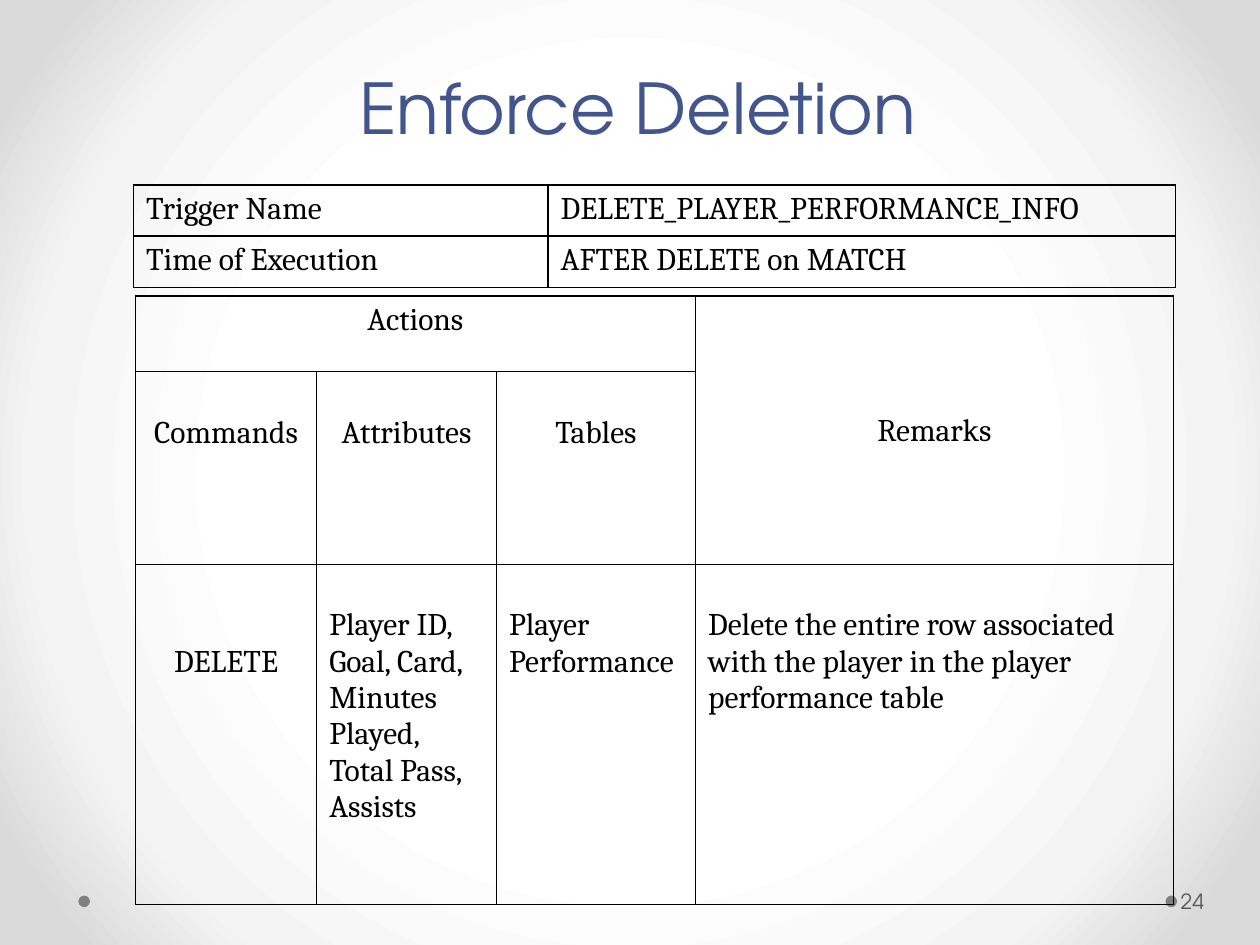
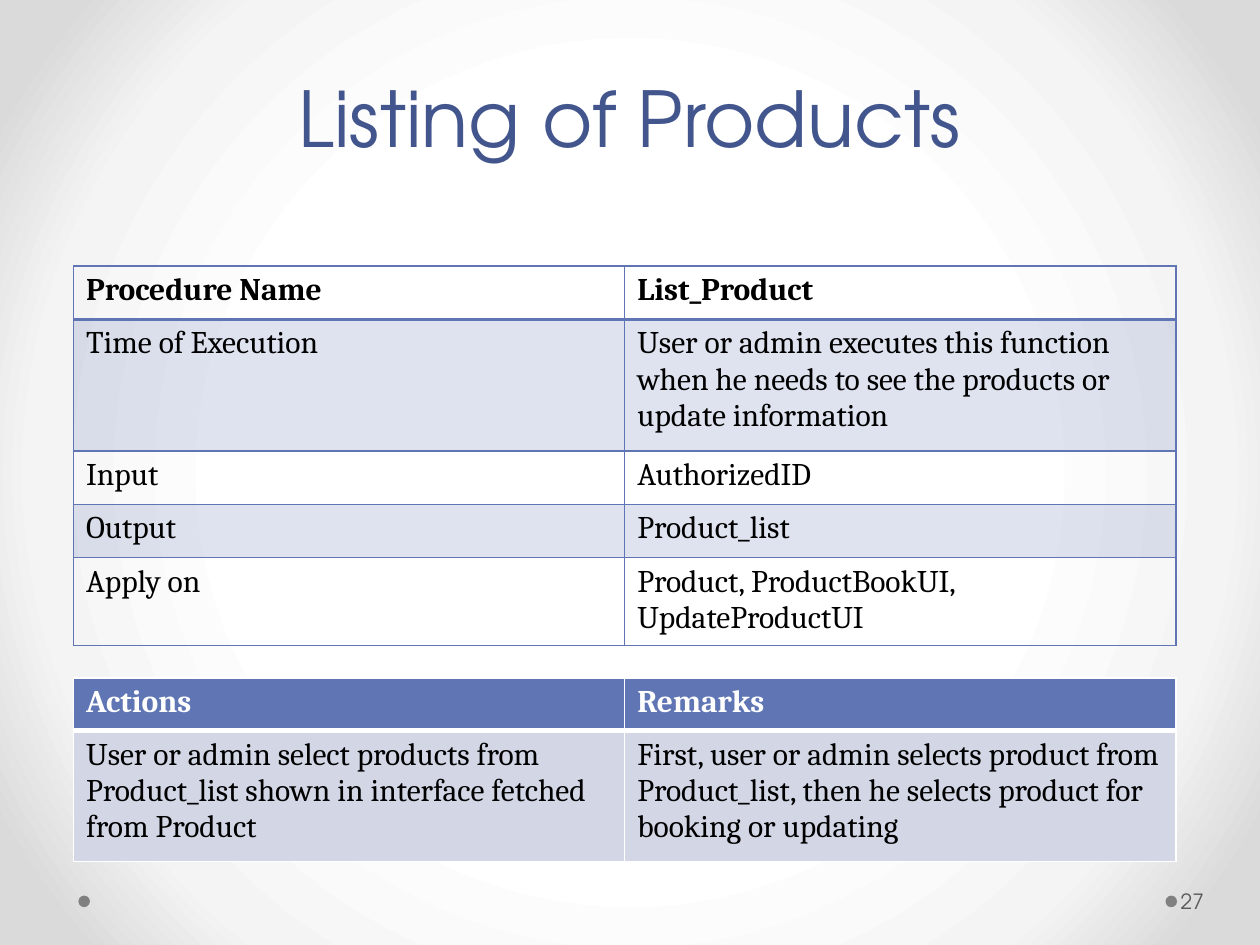
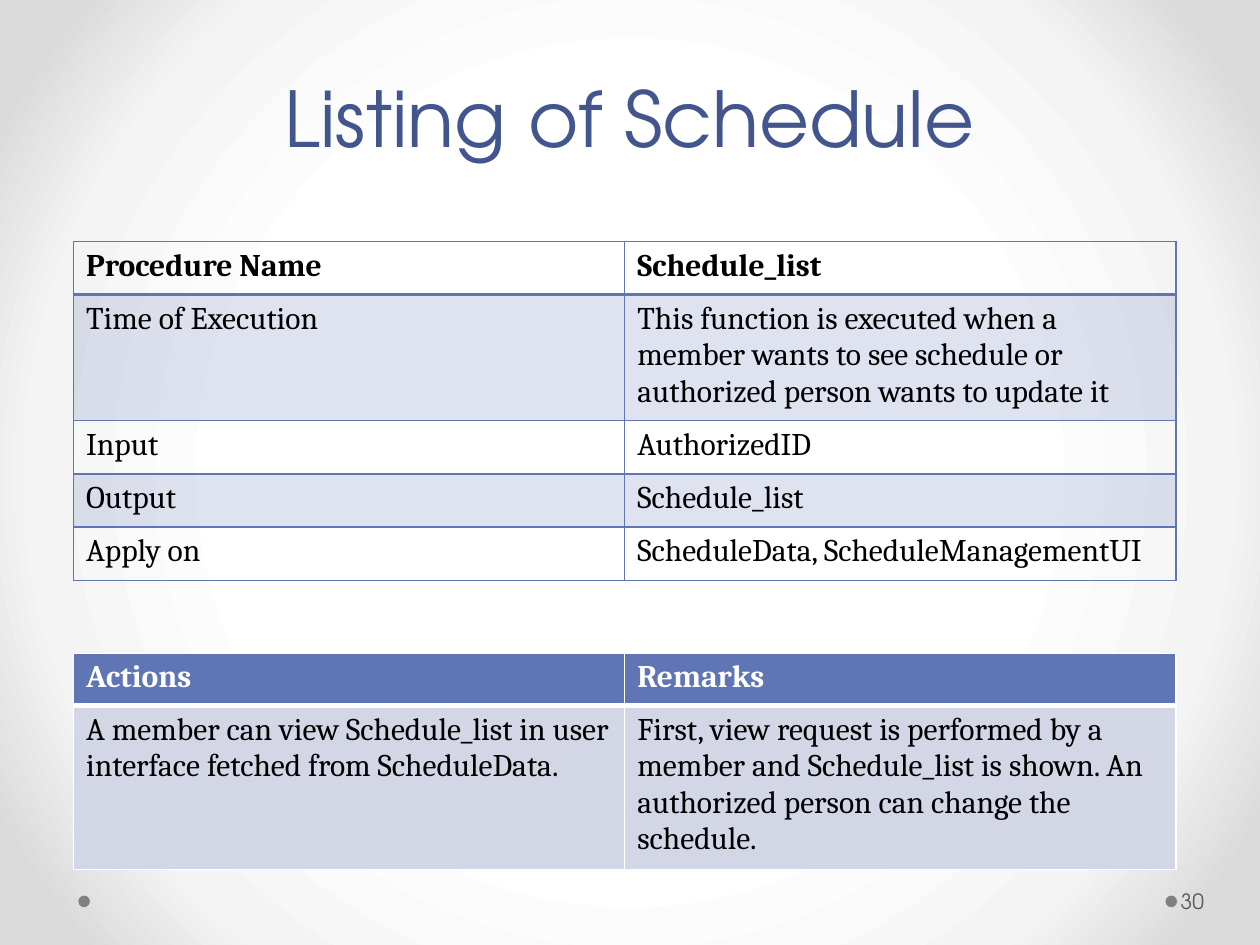
import pptx
import pptx.dml.color
import pptx.enum.shapes
import pptx.enum.text
import pptx.oxml
import pptx.oxml.ns
import pptx.util

Pt = pptx.util.Pt
ALIGN = pptx.enum.text.PP_ALIGN
ANCHOR = pptx.enum.text.MSO_ANCHOR

COLORS = {
    "title": "42568D", "number": "595959", "dot": "808080",
    "black": "000000", "white": "FFFFFF",
    "blue": "6076B4", "pale": "D2D6E5",
    "halo": "F4F4F4", "edge": "DADADA",
}
BODY_FONT, TITLE_FONT = "Cambria", "TeX Gyre Adventor"
LINE = 21  # height of one line of table text


def write(frame, text, size=18, font=BODY_FONT, color="black", bold=False,
          align=ALIGN.LEFT, spacing=None):
    frame.word_wrap = True
    for index, line in enumerate(text.split("\n")):
        paragraph = frame.add_paragraph() if index else frame.paragraphs[0]
        paragraph.alignment = align
        if spacing:
            paragraph.line_spacing = spacing
        run = paragraph.add_run()
        run.text = line
        run.font.size = Pt(size)
        run.font.name = font
        run.font.bold = bold
        run.font.color.rgb = pptx.dml.color.RGBColor.from_string(COLORS[color])


def add_grid(slide, left, top, widths, heights, line, fills, rule=1):
    """Add a ruled table; rule is the line width below the first row."""
    grid = slide.shapes.add_table(
        len(heights), len(widths), Pt(left), Pt(top), Pt(sum(widths)), Pt(sum(heights))).table
    grid.first_row = grid.horz_banding = False
    for column, width in zip(grid.columns, widths):
        column.width = Pt(width)
    for index, (row, height, fill) in enumerate(zip(grid.rows, heights, fills)):
        row.height = Pt(height)
        borders = {"L": 1, "R": 1, "T": rule if index == 1 else 1, "B": rule if index == 0 else 1}
        for cell in row.cells:
            properties = cell._tc.get_or_add_tcPr()
            for side, weight in borders.items():
                properties.append(pptx.oxml.parse_xml(
                    f'<a:ln{side} {pptx.oxml.ns.nsdecls("a")} w="{Pt(weight)}"><a:solidFill>'
                    f'<a:srgbClr val="{COLORS[line]}"/></a:solidFill></a:ln{side}>'))
            if fill is None:
                cell.fill.background()
                continue
            color, opacity = fill
            cell.fill.solid()
            cell.fill.fore_color.rgb = pptx.dml.color.RGBColor.from_string(COLORS[color])
            if opacity < 100:
                properties.find(".//" + pptx.oxml.ns.qn("a:solidFill") + "[last()]")
                tint = properties.findall(pptx.oxml.ns.qn("a:solidFill"))[0][0]
                tint.append(pptx.oxml.parse_xml(
                    f'<a:alpha {pptx.oxml.ns.nsdecls("a")} val="{opacity * 1000}"/>'))
    return grid


deck = pptx.Presentation()
deck.slide_width, deck.slide_height = Pt(720), Pt(540)

# Shared background: a soft circular glow
glow = deck.slide_master.background.fill
glow.gradient()
gradient = deck.slide_master._element.find(".//" + pptx.oxml.ns.qn("a:gradFill"))
stops = "".join(f'<a:gs pos="{pos * 1000}"><a:srgbClr val="{COLORS[name]}"/></a:gs>'
                for pos, name in ((50, "white"), (76, "halo"), (92, "edge")))
gradient.getparent().replace(gradient, pptx.oxml.parse_xml(
    f'<a:gradFill {pptx.oxml.ns.nsdecls("a")} rotWithShape="1"><a:gsLst>{stops}</a:gsLst>'
    '<a:path path="circle"><a:fillToRect l="50000" t="50000" r="50000" b="50000"/></a:path>'
    '</a:gradFill>'))

# Title box, size, anchor, line spacing and page number of each slide
pages = [
    ("Enforce Deletion ", (80.6, 15.8, 578.9, 73.4), 40, ANCHOR.BOTTOM, 0.9, "24"),
    ("Listing of Products", (36, 21.6, 648, 90), 44, ANCHOR.MIDDLE, None, "27"),
    ("Listing of Schedule", (36, 21.6, 648, 90), 44, ANCHOR.MIDDLE, None, "30"),
]
slides = []
for title, title_box, title_size, title_anchor, title_spacing, number in pages:
    slide = deck.slides.add_slide(deck.slide_layouts[6])
    slides.append(slide)
    # Footer dots
    for dot_left in (666, 44.8):
        dot = slide.shapes.add_shape(pptx.enum.shapes.MSO_SHAPE.OVAL,
                                     Pt(dot_left), Pt(511.8), Pt(6.6), Pt(6.6))
        dot.shadow.inherit = False
        dot.fill.solid()
        dot.fill.fore_color.rgb = pptx.dml.color.RGBColor.from_string(COLORS["dot"])
        dot.line.fill.background()
    # Title
    heading = slide.shapes.add_textbox(*map(Pt, title_box)).text_frame
    heading.vertical_anchor = title_anchor
    write(heading, title, size=title_size, font=TITLE_FONT, color="title",
          align=ALIGN.CENTER, spacing=title_spacing)
    # Page number
    footer = slide.shapes.add_textbox(Pt(672.5), Pt(500.4), Pt(43.9), Pt(28.8)).text_frame
    footer.vertical_anchor = ANCHOR.MIDDLE
    footer.margin_left, footer.margin_right = Pt(2.2), Pt(3.6)
    write(footer, number, size=12, font=TITLE_FONT, color="number")

# Slide 1: trigger summary
trigger = add_grid(slides[0], 76.3, 105.8, [236.9, 358.6], [29.2] * 2, "black", [None] * 2)
trigger_rows = [("Trigger Name", "DELETE_PLAYER_PERFORMANCE_INFO"),
                ("Time of Execution", "AFTER DELETE on MATCH")]
for row, texts in zip(trigger.rows, trigger_rows):
    for cell, text in zip(row.cells, texts):
        write(cell.text_frame, text)

# Slide 1: trigger actions, as row, column, lines of space above, alignment, text
actions = add_grid(slides[0], 77.3, 169.2, [103.7, 102.7, 113.8, 273],
                   [43.2, 110.2, 194.4], "black", [None] * 3)
actions.cell(0, 0).merge(actions.cell(0, 2))
actions.cell(0, 3).merge(actions.cell(1, 3))
action_cells = [
    (0, 0, 0, ALIGN.CENTER, "Actions"),
    (0, 3, 3, ALIGN.CENTER, "Remarks"),
    (1, 0, 1, ALIGN.CENTER, "Commands"),
    (1, 1, 1, ALIGN.CENTER, "Attributes"),
    (1, 2, 1, ALIGN.CENTER, "Tables"),
    (2, 0, 2, ALIGN.CENTER, "DELETE"),
    (2, 1, 1, ALIGN.LEFT, "Player ID, Goal, Card, Minutes Played,\nTotal Pass,\nAssists"),
    (2, 2, 1, ALIGN.LEFT, "Player\nPerformance"),
    (2, 3, 1, ALIGN.LEFT,
     "Delete the entire row associated with the player in the player performance table"),
]
for row, column, lines_above, align, text in action_cells:
    cell = actions.cell(row, column)
    cell.margin_top = Pt(3.6 + lines_above * LINE)
    write(cell.text_frame, text, align=align)

# Slides 2 and 3: procedure summary above its actions and remarks
labels = ["Procedure Name", "Time of Execution", "Input", "Output", "Apply on"]
procedures = [
    (152, 75.4, 387.4,
     ["List_Product",
      "User or admin executes this function when he needs to see the products or "
      "update information",
      "AuthorizedID", "Product_list", "Product, ProductBookUI, UpdateProductUI"],
     ["User or admin select products from Product_list shown in interface fetched from Product",
      "First, user or admin selects product from Product_list, then he selects product for "
      "booking or updating"]),
    (138, 57.6, 373.3,
     ["Schedule_list",
      "This function is executed when a member wants to see schedule or authorized person "
      "wants to update it",
      "AuthorizedID", "Schedule_list", "ScheduleData, ScheduleManagementUI"],
     ["A member can view Schedule_list in user interface fetched from ScheduleData.",
      "First, view request is performed by a member and Schedule_list is shown. An "
      "authorized person can change the schedule."]),
]
halves = [315, 315]
band = ("blue", 20)
for slide, (summary_top, time_height, steps_top, values, steps) in zip(slides[1:], procedures):
    summary = add_grid(slide, 42, summary_top, halves, [30.4, time_height] + [30.4] * 3,
                       "blue", [None, band, None, band, None], rule=2)
    for index, texts in enumerate(zip(labels, values)):
        for column, text in enumerate(texts):
            write(summary.cell(index, column).text_frame, text, bold=index == 0)
    remarks = add_grid(slide, 42, steps_top, halves, [30, 75], "white",
                       [("blue", 100), ("pale", 100)], rule=3)
    for column, (header, step) in enumerate(zip(["Actions", "Remarks"], steps)):
        write(remarks.cell(0, column).text_frame, header, color="white", bold=True)
        write(remarks.cell(1, column).text_frame, step)

deck.save("out.pptx")
